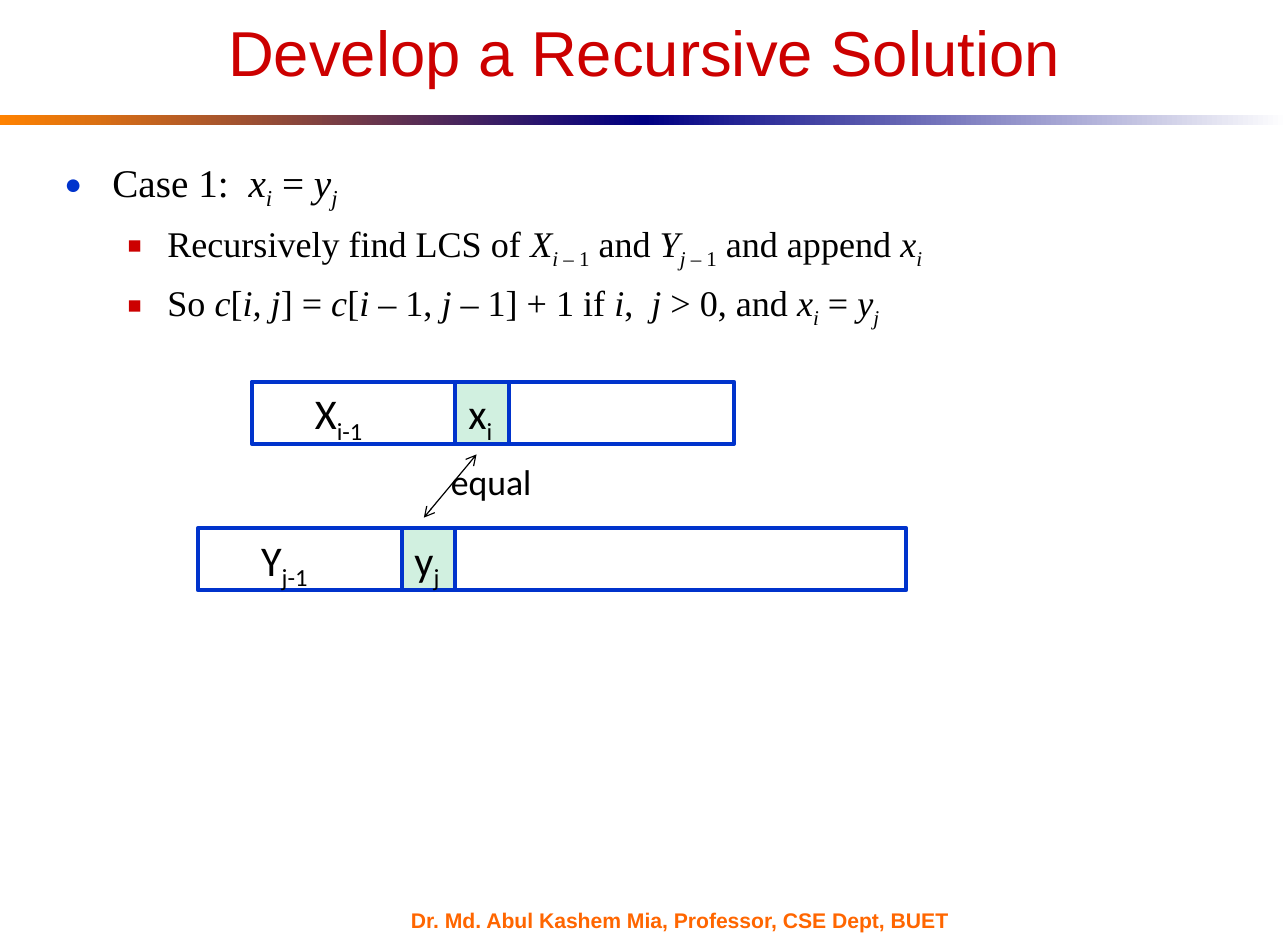
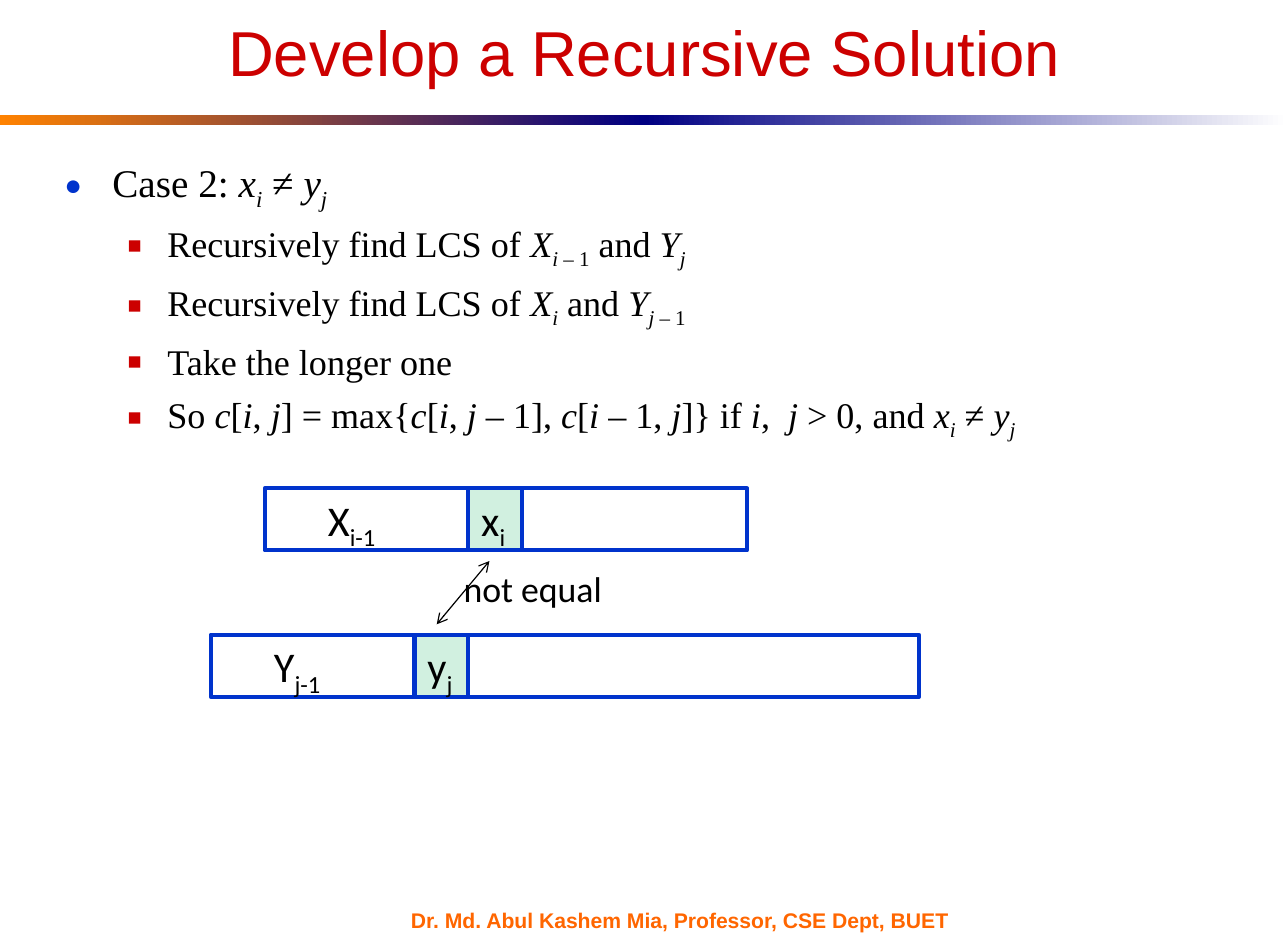
from lxml.etree import SubElement
from pptx import Presentation
from pptx.dml.color import RGBColor
from pptx.enum.shapes import MSO_CONNECTOR, MSO_SHAPE
from pptx.enum.text import MSO_ANCHOR as ANCHOR, MSO_AUTO_SIZE as AUTO, PP_ALIGN as ALIGN
from pptx.oxml.ns import qn
from pptx.util import Inches, Pt

BLUE, RED, ORANGE, NAVY = "0033CC", "CC0000", "FF6600", "000082"
GREEN, BLACK, WHITE, AMBER = "D1F0E0", "000000", "FFFFFF", "FF8200"
TITLE = "Develop a Recursive Solution"
FOOTER = "Dr. Md. Abul Kashem Mia, Professor, CSE Dept, BUET"
BULLETS = [
    dict(char="●", color=BLUE, pct=75, left=0.41, hang=0.41, before=6.5, size=24.1),
    dict(char="■", color=RED, pct=65, left=0.88, hang=0.34, before=6, size=22.2),
]
CASES = [
    dict(
        lines=[
            "Case 1:  *x~i~* = *y~j~*",
            "Recursively find LCS of *X~i ~*~– 1~ and *Y~j ~*~– 1~ and append *x~i~*",
            "So *c*[*i, j*] = *c*[*i *– 1, *j *– 1] + 1 if *i*,  *j* > 0, and *x~i~* = *y~j~*",
        ],
        height=1.64, left=1.69, top=3.26, relation="equal", width=1.02,
    ),
    dict(
        lines=[
            "Case 2: *x~i~* ≠ *y~j~*",
            "Recursively find LCS of *X~i ~*~– 1~ and *Y~j~*",
            "Recursively find LCS of *X~i~* and *Y~j ~*~– 1~",
            "Take the longer one",
            "So *c*[*i*, *j*] = max{*c*[*i*, *j *– 1], *c*[*i *– 1, *j*]} if *i*,  *j* > 0, "
            "and *x~i~* ≠ *y~j~*",
        ],
        height=2.59, left=1.8, top=4.17, relation="not equal", width=1.58,
    ),
]


def rgb(color):
    """Turn a hex string into a colour."""
    return RGBColor.from_string(color)


def write(p, text, font="Calibri", size=26, color=BLACK, bold=False, align=None):
    """Fill a paragraph, where *...* is italic and ~...~ is subscript."""
    p.alignment = align
    for i, part in enumerate(text.split("*")):
        for j, piece in enumerate(part.split("~")):
            if not piece:
                continue
            r = p.add_run()
            r.text = piece
            r.font.name, r.font.size = font, Pt(size)
            r.font.bold, r.font.italic = bold, i % 2 == 1
            r.font.color.rgb = rgb(color)
            if j % 2:
                r._r.get_or_add_rPr().set("baseline", "-25000")


def set_frame(tf, wrap=True, anchor=ANCHOR.TOP):
    """Set insets, wrapping and anchor of a text frame."""
    tf.auto_size, tf.word_wrap, tf.vertical_anchor = AUTO.NONE, wrap, anchor
    tf.margin_left = tf.margin_right = Inches(0.11)
    tf.margin_top = tf.margin_bottom = Inches(0.05)


def set_bullet(p, char, color, pct, left, hang, before):
    """Give a paragraph its bullet, indent and spacing."""
    p.space_before = Pt(before)
    pPr = p._p.get_or_add_pPr()
    pPr.set("marL", str(Inches(left)))
    pPr.set("indent", str(-Inches(hang)))
    SubElement(SubElement(pPr, qn("a:buClr")), qn("a:srgbClr"), val=color)
    SubElement(pPr, qn("a:buSzPct"), val=str(pct * 1000))
    SubElement(pPr, qn("a:buFont"), typeface="Arial")
    SubElement(pPr, qn("a:buChar"), char=char)


class Deck:
    """Presentation style and the current slide."""

    def __init__(self):
        """Start an empty presentation."""
        self.prs = Presentation()
        self.prs.slide_width, self.prs.slide_height = Inches(11), Inches(8)

    def slide(self, title):
        """Add a slide with its title, bands and footer."""
        self.s = self.prs.slides.add_slide(self.prs.slide_layouts[5])
        self.band(0, AMBER, NAVY)
        self.band(5.5, NAVY, WHITE)
        self.text(3.4, 7.76, 5.13, 0.19, FOOTER, anchor=ANCHOR.MIDDLE,
                  font="Arial", size=13, color=ORANGE, bold=True)
        sp = self.s.shapes.title
        sp.left, sp.top, sp.width, sp.height = map(Inches, (0.55, 0.27, 9.9, 0.54))
        set_frame(sp.text_frame, anchor=ANCHOR.BOTTOM)
        write(sp.text_frame.paragraphs[0], title, font="Arial", size=39, color=RED,
              align=ALIGN.CENTER)

    def rect(self, x, y, w, h):
        """Add a plain rectangle."""
        sp = self.s.shapes.add_shape(MSO_SHAPE.RECTANGLE, *map(Inches, (x, y, w, h)))
        sp.shadow.inherit = False
        return sp

    def band(self, x, start, end):
        """Add half of the gradient band."""
        sp = self.rect(x, 0.98, 5.5, 0.09)
        sp.line.fill.background()
        sp.fill.gradient()
        sp.fill.gradient_angle = 0
        for stop, color in zip(sp.fill.gradient_stops, (start, end)):
            stop.color.rgb = rgb(color)

    def box(self, x, y, w, fill=None):
        """Add an outlined sequence box."""
        sp = self.rect(x, y, w, 0.53)
        sp.line.color.rgb, sp.line.width = rgb(BLUE), Pt(2.5)
        if fill:
            sp.fill.solid()
            sp.fill.fore_color.rgb = rgb(fill)
        else:
            sp.fill.background()

    def text(self, x, y, w, h, text, anchor=ANCHOR.TOP, **style):
        """Add a one-line text box."""
        sp = self.s.shapes.add_textbox(*map(Inches, (x, y, w, h)))
        set_frame(sp.text_frame, wrap=False, anchor=anchor)
        write(sp.text_frame.paragraphs[0], text, **style)

    def bullets(self, lines, height):
        """Add a heading bullet with sub-bullets."""
        sp = self.s.shapes.add_textbox(*map(Inches, (0.44, 1.3, 9.81, height)))
        tf = sp.text_frame
        set_frame(tf)
        for i, line in enumerate(lines):
            p = tf.add_paragraph() if i else tf.paragraphs[0]
            p.level = min(i, 1)
            style = dict(BULLETS[p.level])
            write(p, line, font="Times New Roman", size=style.pop("size"))
            set_bullet(p, **style)

    def arrow(self, x1, y1, x2, y2):
        """Add a thin double-headed arrow."""
        cn = self.s.shapes.add_connector(MSO_CONNECTOR.STRAIGHT,
                                         *map(Inches, (x1, y1, x2, y2)))
        cn.line.color.rgb, cn.line.width = rgb(BLACK), Pt(0.75)
        ln = cn.get_or_add_ln()
        for end in ("a:headEnd", "a:tailEnd"):
            SubElement(ln, qn(end), type="arrow")
        SubElement(cn._element.spPr, qn("a:effectLst"))

    def sequence(self, x, y, w, prefix, item):
        """Add a sequence with its prefix and highlighted item."""
        self.box(x, y, w)
        self.box(x + 1.74, y, 0.46, GREEN)
        self.text(x + 1.74, y, 0.46, 0.6, item)
        self.text(x + 0.43, y, 0.67, 0.6, prefix)

    def comparison(self, x, y, relation, width):
        """Add two sequences and the relation of their items."""
        self.sequence(x + 0.46, y, 4.12, "X~i-1~", "x~i~")
        self.sequence(x, y + 1.25, 6.05, "Y~j-1~", "y~j~")
        self.arrow(x + 1.93, y + 1.16, x + 2.38, y + 0.62)
        self.text(x + 2.05, y + 0.62, width, 0.48, relation, size=22)


def main():
    """Build and save the slides."""
    deck = Deck()
    for case in CASES:
        deck.slide(TITLE)
        deck.bullets(case["lines"], case["height"])
        deck.comparison(case["left"], case["top"], case["relation"], case["width"])
    deck.prs.save("out.pptx")


if __name__ == "__main__":
    main()
